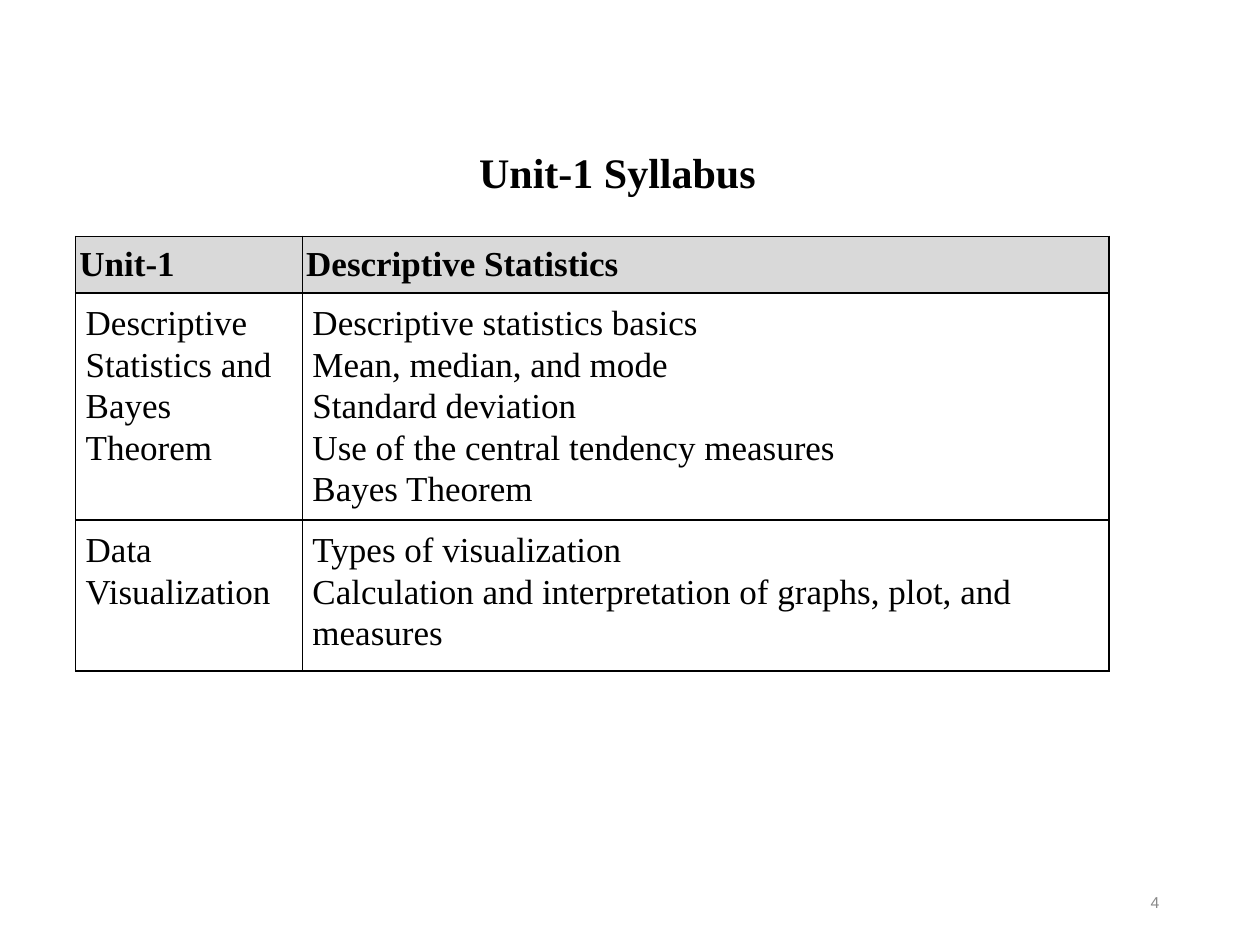
"""Build the Unit-1 syllabus slide."""
from lxml.etree import SubElement
from pptx import Presentation
from pptx.dml.color import RGBColor
from pptx.enum.text import MSO_ANCHOR, PP_ALIGN
from pptx.oxml.ns import qn
from pptx.util import Inches, Pt

COLORS = {"ink": "000000", "header": "D9D9D9", "paper": "FFFFFF", "number": "898989"}
SERIF, SANS = "Times New Roman", "Arial"

HEADER = ["Unit-1", "Descriptive Statistics"]
TOPICS = [
    (
        ["Descriptive Statistics and Bayes Theorem"],
        ["Descriptive statistics basics\nMean, median, and mode\nStandard deviation\n"
         "Use of the central tendency measures\nBayes Theorem"],
    ),
    (
        ["Data Visualization"],
        ["Types of visualization",
         "Calculation and interpretation of graphs, plot, and measures"],
    ),
]


def write(para, text, size=20, font=SERIF, color="ink", bold=False,
          align=PP_ALIGN.LEFT, spacing=1.0, after=0):
    """Fill a paragraph with formatted text, breaking lines at newlines."""
    para.alignment = align
    para.line_spacing = spacing
    para.space_before = Pt(0)
    para.space_after = Pt(after)
    for index, line in enumerate(text.split("\n")):
        if index:
            para.add_line_break()
        span = para.add_run()
        span.text = line
        span.font.size = Pt(size)
        span.font.name = font
        span.font.bold = bold
        span.font.color.rgb = RGBColor.from_string(COLORS[color])


class SlideBuilder:
    """Hold the deck, its current page and the shared table style."""

    def __init__(self, width, height):
        self.deck = Presentation()
        self.deck.slide_width, self.deck.slide_height = Inches(width), Inches(height)
        self.page = self.deck.slides.add_slide(self.deck.slide_layouts[5])
        self.border = Pt(1)

    def frame(self, left, top, width, height):
        """Turn shares of the slide's size into lengths."""
        across, down = self.deck.slide_width, self.deck.slide_height
        return [int(left * across), int(top * down), int(width * across), int(height * down)]

    def title(self, text, *shares):
        """Move and fill the title placeholder."""
        box = self.page.shapes.title
        box.left, box.top, box.width, box.height = self.frame(*shares)
        box.text_frame.vertical_anchor = MSO_ANCHOR.MIDDLE
        write(box.text_frame.paragraphs[0], text, size=24, bold=True,
              align=PP_ALIGN.CENTER, spacing=0.9)

    def number(self, text, *shares):
        """Add the page number."""
        box = self.page.shapes.add_textbox(*self.frame(*shares))
        box.text_frame.word_wrap = True
        box.text_frame.vertical_anchor = MSO_ANCHOR.MIDDLE
        write(box.text_frame.paragraphs[0], text, size=9, font=SANS,
              color="number", align=PP_ALIGN.RIGHT)

    def cell(self, cell, texts, fill, margins, anchor, after=0, **style):
        """Border, fill and write one table cell."""
        properties = cell._tc.get_or_add_tcPr()
        for side in ("a:lnL", "a:lnR", "a:lnT", "a:lnB"):
            line = SubElement(properties, qn(side), w=str(self.border))
            SubElement(SubElement(line, qn("a:solidFill")), qn("a:srgbClr"), val=COLORS["ink"])
        cell.fill.solid()
        cell.fill.fore_color.rgb = RGBColor.from_string(COLORS[fill])
        cell.margin_left = cell.margin_right = Inches(margins[0])
        cell.margin_top = cell.margin_bottom = Inches(margins[1])
        cell.vertical_anchor = anchor
        for index, text in enumerate(texts):
            box = cell.text_frame
            para = box.add_paragraph() if index else box.paragraphs[0]
            write(para, text, after=after if text == texts[-1] else 0, **style)

    def table(self, header, topics, columns, rows, *corner):
        """Add the syllabus table with column and row shares."""
        area = self.frame(*corner, sum(columns), sum(rows))
        table = self.page.shapes.add_table(len(rows), len(columns), *area).table
        table.first_row = table.horz_banding = False
        for column, share in zip(table.columns, columns):
            column.width = int(share * self.deck.slide_width)
        for row, share in zip(table.rows, rows):
            row.height = int(share * self.deck.slide_height)
        for index, text in enumerate(header):
            self.cell(table.cell(0, index), [text], "header", (0.03, 0.03),
                      MSO_ANCHOR.MIDDLE, bold=True, align=PP_ALIGN.JUSTIFY)
        for row, topic in enumerate(topics, 1):
            for index, (texts, after) in enumerate(zip(topic, (0.8, 8))):
                self.cell(table.cell(row, index), texts, "paper", (0.08, 0.07),
                          MSO_ANCHOR.TOP, after=after, spacing=1.07)


def main():
    """Build and save the slide."""
    builder = SlideBuilder(10, 7.5)
    builder.title("Unit-1 Syllabus", 0.06, 0.14, 0.86, 0.09)
    builder.table(HEADER, TOPICS, (0.18, 0.64), (0.06, 0.24, 0.16), 0.06, 0.25)
    builder.number("4", 0.71, 0.93, 0.22, 0.05)
    builder.deck.save("out.pptx")


if __name__ == "__main__":
    main()
